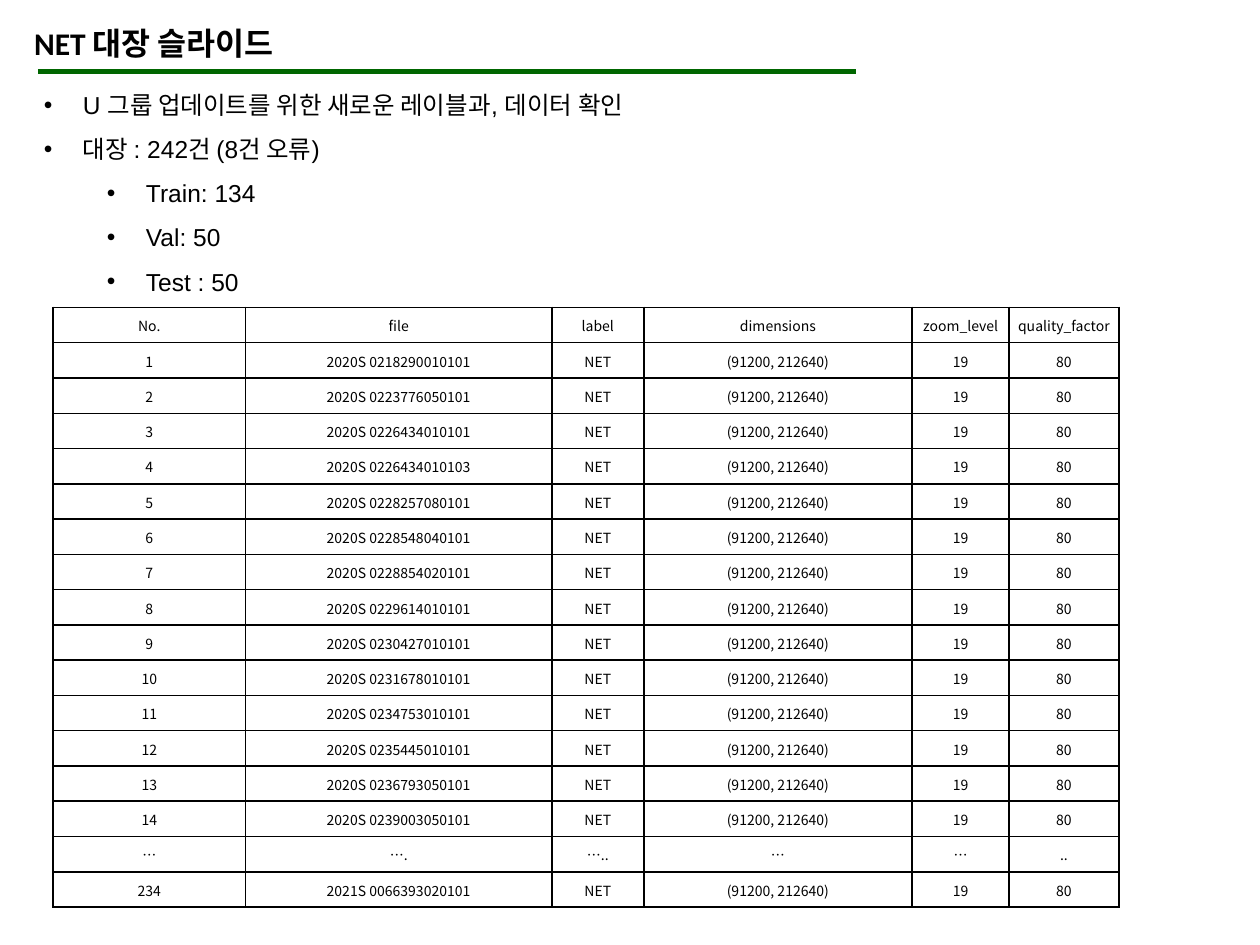
import dataclasses

import lxml.etree
import pptx
import pptx.dml.color
import pptx.enum.shapes
import pptx.enum.text
import pptx.oxml.ns
import pptx.util

INCH = pptx.util.Inches
ALIGN = pptx.enum.text.PP_ALIGN
ANCHOR = pptx.enum.text.MSO_ANCHOR
GROW = pptx.enum.text.MSO_AUTO_SIZE.SHAPE_TO_FIT_TEXT


@dataclasses.dataclass(frozen=True)
class Theme:
    ink: str = "000000"
    green: str = "006600"
    asian: str = "Noto Sans CJK KR"
    title: tuple = ("Calibri", 18, True)
    body: tuple = ("Arial", 14, False)
    cell: tuple = ("Noto Sans CJK KR", 8, False)
    rule: float = 3
    edge: float = 1


THEME = Theme()
WIDE, HIGH = 10, 7.5
COLS = (1.53, 2.43, 0.73, 2.13, 0.77, 0.87)
ROW = 0.28

BULLETS = [
    (0, "U 그룹 업데이트를 위한 새로운 레이블과, 데이터 확인"),
    (0, "대장 : 242건 (8건 오류)"),
    (1, "Train: 134"),
    (1, "Val: 50"),
    (1, "Test : 50"),
]
HEAD = ("No.", "file", "label", "dimensions", "zoom_level", "quality_factor")
SAME = ("NET", "(91200, 212640)", "19", "80")
FILES = [
    "0218290010101", "0223776050101", "0226434010101", "0226434010103",
    "0228257080101", "0228548040101", "0228854020101", "0229614010101",
    "0230427010101", "0231678010101", "0234753010101", "0235445010101",
    "0236793050101", "0239003050101",
]
GAP = ("…", "….", "…..", "…", "…", "..")
LAST = ("234", "2021S 0066393020101", *SAME)


def put(item, **values):
    for name, value in values.items():
        setattr(item, name, value)


def color(code):
    return pptx.dml.color.RGBColor.from_string(code)


def node(owner, tag, **values):
    return lxml.etree.SubElement(owner, pptx.oxml.ns.qn(tag), values)


def write(para, text, style):
    run = para.add_run()
    run.text = text
    name, size, bold = style
    put(run.font, name=name, size=pptx.util.Pt(size), bold=bold)
    run.font.color.rgb = color(THEME.ink)
    node(run.font._element, "a:ea", typeface=THEME.asian)


def add_title(slide, text):
    title = slide.shapes.title
    put(title, left=INCH(0.17), top=INCH(0.14), width=INCH(5.89), height=INCH(0.4))
    frame = title.text_frame
    put(frame, word_wrap=True, auto_size=GROW, vertical_anchor=ANCHOR.TOP)
    para = frame.paragraphs[0]
    para.alignment = ALIGN.LEFT
    write(para, text, THEME.title)


def add_rule(slide, left, right, top):
    line = slide.shapes.add_connector(
        pptx.enum.shapes.MSO_CONNECTOR.STRAIGHT,
        INCH(left), INCH(top), INCH(right), INCH(top))
    line.line.color.rgb = color(THEME.green)
    line.line.width = pptx.util.Pt(THEME.rule)
    node(line._element.spPr, "a:effectLst")


def add_list(slide, items):
    box = slide.shapes.add_textbox(INCH(0.25), INCH(0.55), INCH(9.51), INCH(1.87))
    frame = box.text_frame
    put(frame, word_wrap=True, auto_size=GROW)
    for spot, (level, text) in enumerate(items):
        para = frame.add_paragraph() if spot else frame.paragraphs[0]
        put(para, level=level, line_spacing=1.5)
        props = para._p.get_or_add_pPr()
        props.set("marL", str(INCH(0.31 + 0.5 * level)))
        props.set("indent", str(INCH(-0.31)))
        node(props, "a:buFont", typeface="Arial")
        node(props, "a:buChar", char="•")
        write(para, text, THEME.body)


def edge(cell):
    """Draw all four borders; the fill must be set afterwards."""
    props = cell._tc.get_or_add_tcPr()
    for side in "LRTB":
        line = node(props, f"a:ln{side}", w=str(pptx.util.Pt(THEME.edge)))
        node(node(line, "a:solidFill"), "a:srgbClr", val=THEME.ink)


def add_table(slide, rows):
    shape = slide.shapes.add_table(
        len(rows), len(COLS), INCH(0.42), INCH(2.44),
        INCH(sum(COLS)), INCH(ROW * len(rows)))
    table = shape.table
    put(table, first_row=False, horz_banding=False)
    for col, width in zip(table.columns, COLS):
        col.width = INCH(width)
    for line, texts in zip(table.rows, rows):
        line.height = INCH(ROW)
        for cell, text in zip(line.cells, texts):
            put(cell, vertical_anchor=ANCHOR.MIDDLE, margin_left=INCH(0.01),
                margin_right=INCH(0.01), margin_top=INCH(0.01), margin_bottom=0)
            edge(cell)
            cell.fill.background()
            para = cell.text_frame.paragraphs[0]
            para.alignment = ALIGN.CENTER
            write(para, text, THEME.cell)


def main():
    deck = pptx.Presentation()
    put(deck, slide_width=INCH(WIDE), slide_height=INCH(HIGH))
    slide = deck.slides.add_slide(deck.slide_layouts[5])
    add_title(slide, "NET 대장 슬라이드")
    add_rule(slide, 0.3, 6.79, 0.57)
    add_list(slide, BULLETS)
    rows = [(str(num), f"2020S {file}", *SAME) for num, file in enumerate(FILES, 1)]
    add_table(slide, [HEAD, *rows, GAP, LAST])
    deck.save("out.pptx")


if __name__ == "__main__":
    main()
